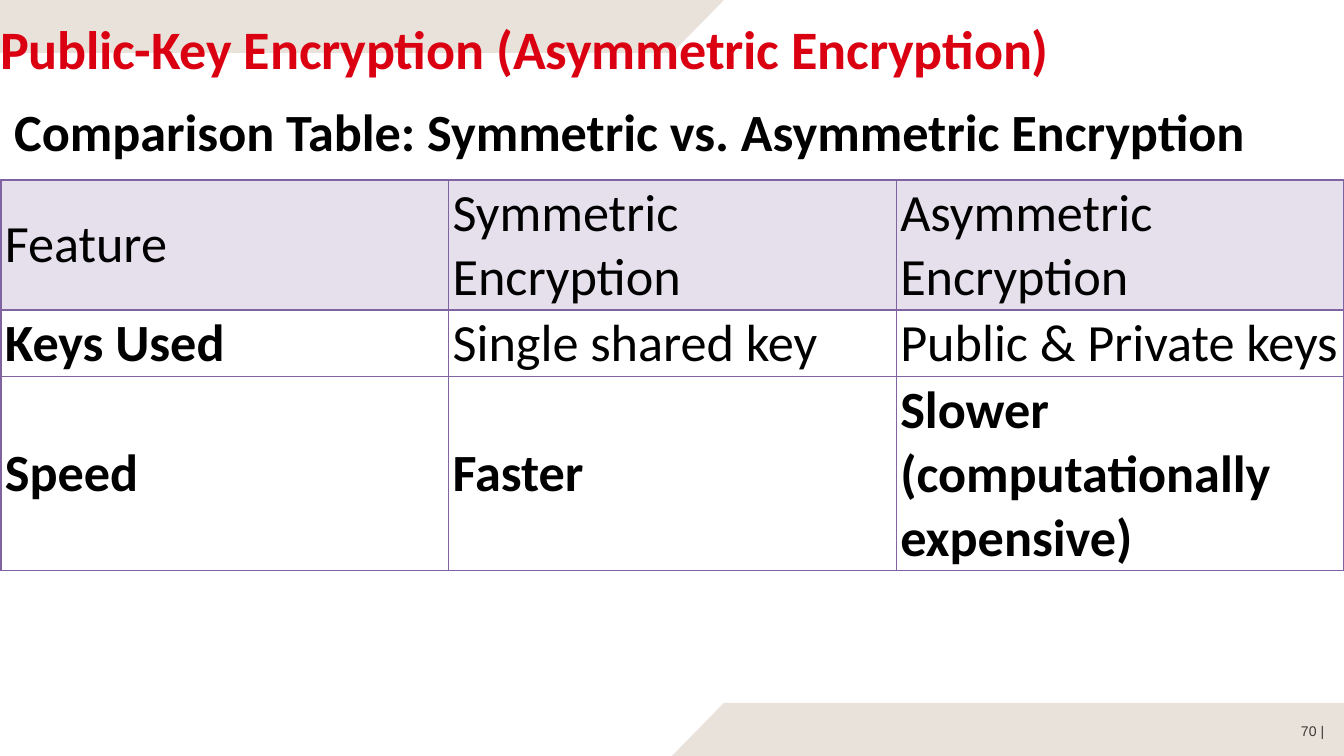
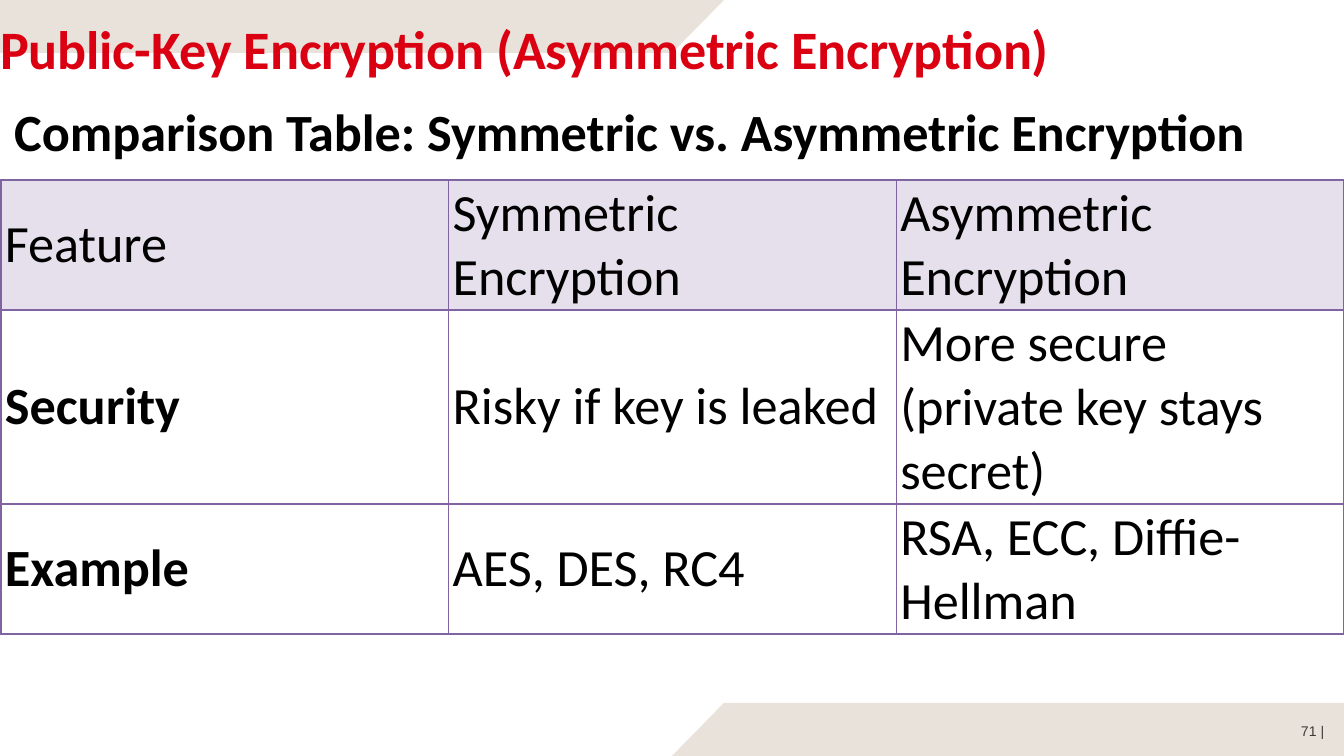
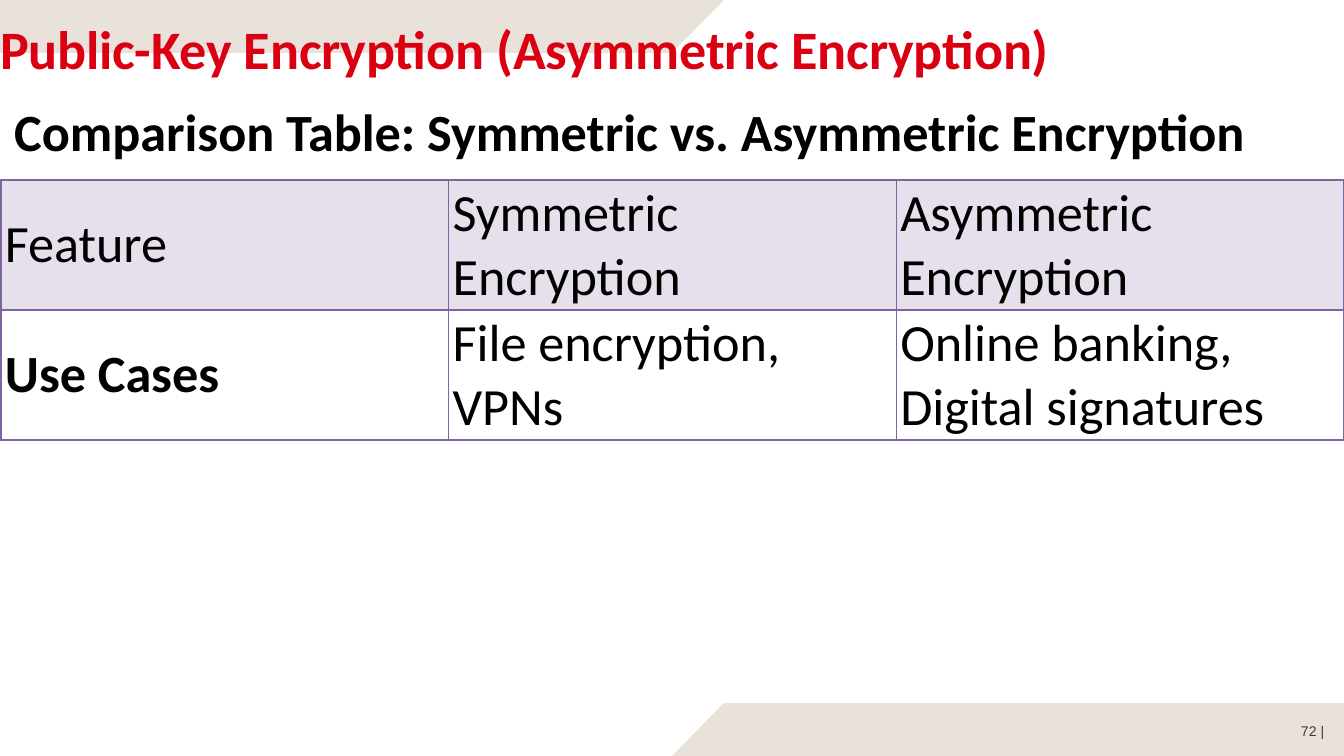
"""Builds three slides comparing symmetric and asymmetric encryption."""
from dataclasses import dataclass

from lxml import etree
from pptx import Presentation
from pptx import util as u
from pptx.dml.color import RGBColor
from pptx.enum import text
from pptx.oxml.ns import qn

UNIT = 914400 / 134.4
WIDE, HIGH = 1344, 756
HUES = {
    "sand": "E8E2DB",
    "red": "DA0012",
    "ink": "000000",
    "gray": "3C3935",
    "violet": "8064A2",
    "lilac": "E6E0EC",
}
TITLE = "Public-Key Encryption (Asymmetric Encryption)"
HEADING = "Comparison Table: Symmetric vs. Asymmetric Encryption"


@dataclass(frozen=True)
class Style:
    size: float
    hue: str
    font: str = "Calibri"
    bold: bool = False
    gap: int = 0


@dataclass(frozen=True)
class Row:
    cells: tuple[str, str, str]
    lines: int
    bold: tuple[bool, bool, bool] = (True, False, False)
    fill: str = ""


@dataclass(frozen=True)
class Page:
    number: int
    rows: tuple[Row, ...]


HEAD = Row(("Feature", "Symmetric Encryption", "Asymmetric Encryption"),
           2, (False,) * 3, "lilac")
PAGES = (
    Page(70, (
        Row(("Keys Used", "Single shared key", "Public & Private keys"), 1),
        Row(("Speed", "Faster", "Slower (computationally expensive)"),
            3, (True,) * 3),
    )),
    Page(71, (
        Row(("Security", "Risky if key is leaked",
             "More secure (private key stays secret)"), 3),
        Row(("Example", "AES, DES, RC4", "RSA, ECC, Diffie-Hellman"), 2),
    )),
    Page(72, (
        Row(("Use Cases", "File encryption, VPNs",
             "Online banking, Digital signatures"), 2),
    )),
)
BANDS = (
    ((724, 0), (0, 0), (0, 53), (672, 53)),
    ((WIDE, 703), (724, 703), (672, HIGH), (WIDE, HIGH)),
)


def px(count: int) -> u.Emu:
    """Turn px into EMU."""
    return u.Emu(round(count * UNIT))


def tint(name: str) -> RGBColor:
    """Look up a colour by name."""
    return RGBColor.from_string(HUES[name])


def place(shape, left: int, top: int, width: int, height: int) -> None:
    """Set the place and size of a shape."""
    shape.left, shape.top = px(left), px(top)
    shape.width, shape.height = px(width), px(height)


def pad(box, left: int, top: int, right: int, bottom: int) -> None:
    """Set the margins of a text frame or cell."""
    box.margin_left, box.margin_top = px(left), px(top)
    box.margin_right, box.margin_bottom = px(right), px(bottom)


def write(para, words: str, style: Style) -> None:
    """Add one styled run to a paragraph."""
    run = para.add_run()
    run.text = words
    font = run.font
    font.size, font.name, font.bold = u.Pt(style.size), style.font, style.bold
    font.color.rgb = tint(style.hue)
    if style.gap:
        run._r.get_or_add_rPr().set("spc", str(style.gap))


def add_bands(slide, layout) -> None:
    """Draw the corner bands and hand them to the layout."""
    tree = layout.shapes._spTree
    for rank, (start, *rest) in enumerate(BANDS):
        pen = slide.shapes.build_freeform(*start, scale=UNIT)
        pen.add_line_segments(rest, close=True)
        band = pen.convert_to_shape()
        band.shadow.inherit = False
        band.fill.solid()
        band.fill.fore_color.rgb = tint("sand")
        band.line.fill.background()
        band._element.nvSpPr.cNvPr.set("id", str(20 + rank))
        tree.insert(2 + rank, band._element)


def add_title(slide) -> None:
    """Fill the title placeholder."""
    title = slide.shapes.title
    place(title, 0, 0, 1218, 81)
    frame = title.text_frame
    frame.vertical_anchor = text.MSO_ANCHOR.TOP
    frame.auto_size = text.MSO_AUTO_SIZE.SHAPE_TO_FIT_TEXT
    pad(frame, 0, 15, 0, 0)
    para = frame.paragraphs[0]
    para.alignment = text.PP_ALIGN.LEFT
    write(para, TITLE, Style(29, "red", bold=True, gap=-10))


def add_heading(slide) -> None:
    """Add the heading above the table."""
    box = slide.shapes.add_textbox(px(1), px(92), px(1278), px(77))
    frame = box.text_frame
    frame.word_wrap = False
    frame.auto_size = text.MSO_AUTO_SIZE.SHAPE_TO_FIT_TEXT
    frame.vertical_anchor = text.MSO_ANCHOR.MIDDLE
    write(frame.paragraphs[0], HEADING, Style(28, "ink", bold=True))


def add_number(slide, number: int) -> None:
    """Add the page number."""
    box = slide.shapes.add_textbox(px(1301), px(723), px(31), px(20))
    frame = box.text_frame
    frame.word_wrap = True
    pad(frame, 0, 0, 0, 0)
    para = frame.paragraphs[0]
    write(para, f"{number} ", Style(7.5, "gray", "Arial"))
    write(para, "|", Style(7.5, "gray", "Arial", gap=-50))


def rule(cell) -> None:
    """Draw the four borders of a cell, ahead of its fill."""
    props = cell._tc.get_or_add_tcPr()
    for rank, side in enumerate(("lnL", "lnR", "lnT", "lnB")):
        line = etree.Element(qn(f"a:{side}"), w=str(u.Pt(1)))
        solid = etree.SubElement(line, qn("a:solidFill"))
        etree.SubElement(solid, qn("a:srgbClr"), val=HUES["violet"])
        props.insert(rank, line)


def add_grid(slide, rows: tuple[Row, ...]) -> None:
    """Add the comparison table."""
    highs = [2 + 64 * row.lines for row in rows]
    grid = slide.shapes.add_table(len(rows), 3, px(1), px(180),
                                  px(1343), px(sum(highs))).table
    grid.first_row = grid.horz_banding = False
    for line, row, high in zip(grid.rows, rows, highs):
        line.height = px(high)
        for cell, words, bold in zip(line.cells, row.cells, row.bold):
            cell.vertical_anchor = text.MSO_ANCHOR.MIDDLE
            pad(cell, 4, 2, 4, 2)
            if row.fill:
                cell.fill.solid()
                cell.fill.fore_color.rgb = tint(row.fill)
            else:
                cell.fill.background()
            rule(cell)
            para = cell.text_frame.paragraphs[0]
            write(para, words, Style(28, "ink", bold=bold))


def main() -> None:
    """Build and save the deck."""
    deck = Presentation()
    deck.slide_width, deck.slide_height = px(WIDE), px(HIGH)
    layout = deck.slide_layouts[5]
    for rank, page in enumerate(PAGES):
        slide = deck.slides.add_slide(layout)
        if rank == 0:
            add_bands(slide, layout)
        add_title(slide)
        add_number(slide, page.number)
        add_grid(slide, (HEAD, *page.rows))
        add_heading(slide)
    deck.save("out.pptx")


if __name__ == "__main__":
    main()
